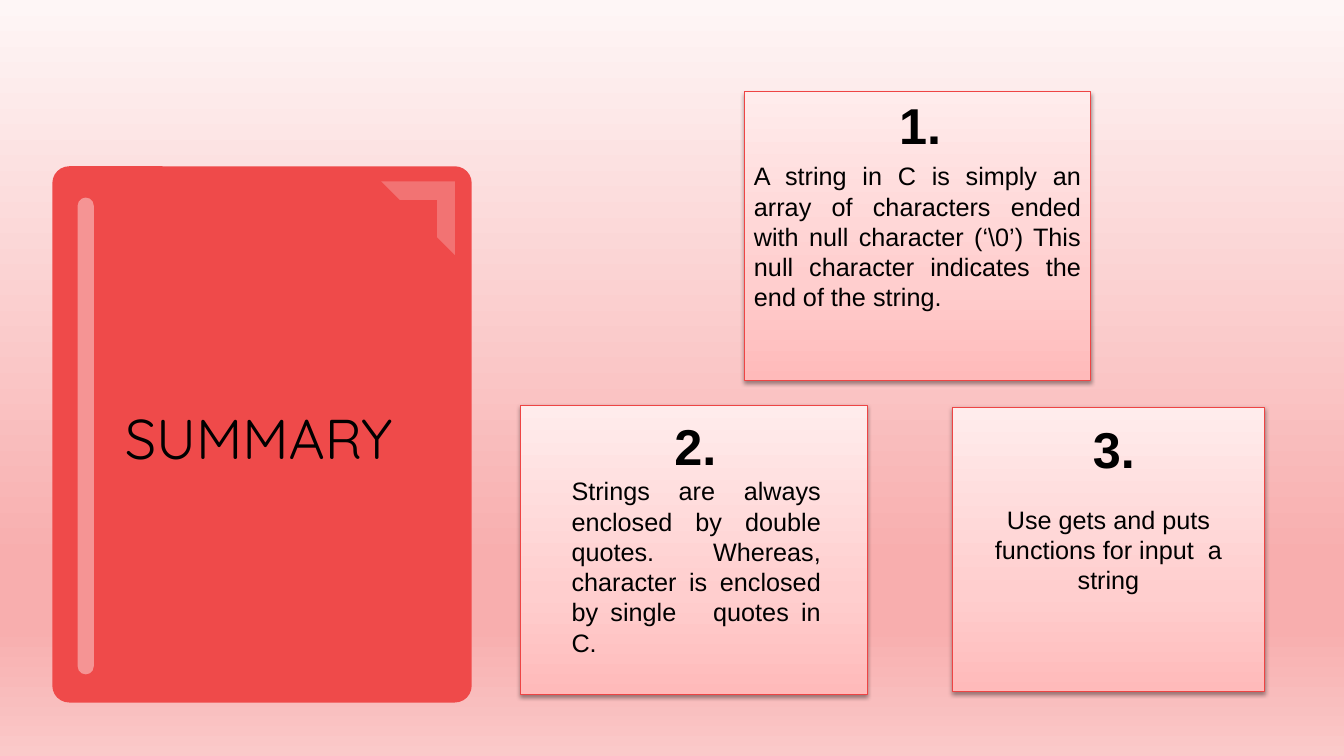
from lxml import etree
from pptx import Presentation, util as u
from pptx.dml.color import RGBColor
from pptx.enum import shapes, text
from pptx.oxml.ns import qn

COLORS = {"book": "EF4A4A", "gloss": "FFFFFF", "edge": "EE4444", "ink": "000000"}
PAGE_STOPS = [(0, "FEF6F6"), (74, "F8AEAE"), (83, "F8AEAE"), (100, "FAC9C9")]
CARD_STOPS = [(0, "FFBABA"), (35, "FFCECE"), (100, "FFECEC")]
KIND = shapes.MSO_SHAPE
ALIGN = text.PP_ALIGN

presentation = Presentation()
presentation.slide_width = u.Inches(13.33)
presentation.slide_height = u.Inches(7.5)
COLUMN = presentation.slide_width / 100
ROW = presentation.slide_height / 100
slide = presentation.slides.add_slide(presentation.slide_layouts[6])


def frame(left, top, width, height):
    return [round(n) for n in (left * COLUMN, top * ROW, width * COLUMN, height * ROW)]


def write_text(shape, words, size=18, font="Arial", bold=False, align=None,
               anchor=text.MSO_ANCHOR.TOP):
    shape.text_frame.word_wrap = True
    shape.text_frame.vertical_anchor = anchor
    paragraph = shape.text_frame.paragraphs[0]
    paragraph.alignment = align
    run = paragraph.add_run()
    run.text = words
    run.font.name = font
    run.font.size = u.Pt(size)
    run.font.bold = bold
    run.font.color.rgb = RGBColor.from_string(COLORS["ink"])


gradients = [(slide.background.fill, slide._element, PAGE_STOPS, 270)]

book_parts = [
    (KIND.ROUNDED_RECTANGLE, (3.9, 22, 31.2, 70.93), [0.04], "book", 100, 0),
    (KIND.ROUNDED_RECTANGLE, (5.78, 26.13, 1.2, 63.07), [0.5], "gloss", 41, 0),
    (KIND.HALF_FRAME, (28.36, 24, 5.48, 9.73), [0.24, 0.25], "gloss", 23, 90),
]
for kind, place, adjustments, color, opacity, rotation in book_parts:
    shape = slide.shapes.add_shape(kind, *frame(*place))
    shape.shadow.inherit = False
    shape.rotation = rotation
    for index, value in enumerate(adjustments):
        shape.adjustments[index] = value
    shape.fill.solid()
    shape.fill.fore_color.rgb = RGBColor.from_string(COLORS[color])
    shape.line.fill.background()
    if opacity < 100:
        tint = shape._element.spPr.find(".//" + qn("a:srgbClr"))
        etree.SubElement(tint, qn("a:alpha"), val=str(opacity * 1000))

cards = [
    ((70.89, 53.87, 23.18, 37.6), "Use gets and puts functions for input  a string", ALIGN.CENTER),
    ((38.71, 53.6, 25.81, 38.27), "", None),
    ((55.36, 12.13, 25.81, 38.27),
     "A string in C is simply an array of characters ended with null character "
     "(‘\\0’) This null character indicates the end of the string.", ALIGN.JUSTIFY),
]
for place, words, align in cards:
    card = slide.shapes.add_shape(KIND.RECTANGLE, *frame(*place))
    card.line.color.rgb = RGBColor.from_string(COLORS["edge"])
    card.line.width = u.Pt(0.75)
    gradients.append((card.fill, card._element, CARD_STOPS, 90))
    card.shadow.inherit = False
    effects = card._element.spPr.find(qn("a:effectLst"))
    shadow = etree.SubElement(effects, qn("a:outerShdw"), blurRad=str(u.Pt(3.1)),
                              dist=str(u.Pt(1.6)), dir="5400000", rotWithShape="0")
    shade = etree.SubElement(shadow, qn("a:srgbClr"), val=COLORS["ink"])
    etree.SubElement(shade, qn("a:alpha"), val="38000")
    if words:
        write_text(card, words, align=align, anchor=text.MSO_ANCHOR.MIDDLE)

for fill, element, stops, angle in gradients:
    fill.gradient()
    fill.gradient_angle = angle
    stop_list = element.find(".//" + qn("a:gsLst"))
    stop_list.clear()
    for position, color in stops:
        stop = etree.SubElement(stop_list, qn("a:gs"), pos=str(position * 1000))
        etree.SubElement(stop, qn("a:srgbClr"), val=color)

number = {"size": 36, "bold": True}
labels = [
    ((7.28, 52.67, 23.93, 10.27), "SUMMARY",
     {"size": 40, "font": "Quicksand", "align": ALIGN.CENTER}),
    ((66.17, 11.73, 6.15, 9.47), "1.", number),
    ((49.44, 54.27, 6.15, 9.47), "2.", number),
    ((80.57, 54.67, 6.15, 9.47), "3.", number),
    ((41.79, 62.27, 20.03, 25.6),
     "Strings are always enclosed by double quotes. Whereas, character is "
     "enclosed by single   quotes in C.", {"align": ALIGN.JUSTIFY}),
]
for place, words, style in labels:
    write_text(slide.shapes.add_textbox(*frame(*place)), words, **style)

presentation.save("out.pptx")
